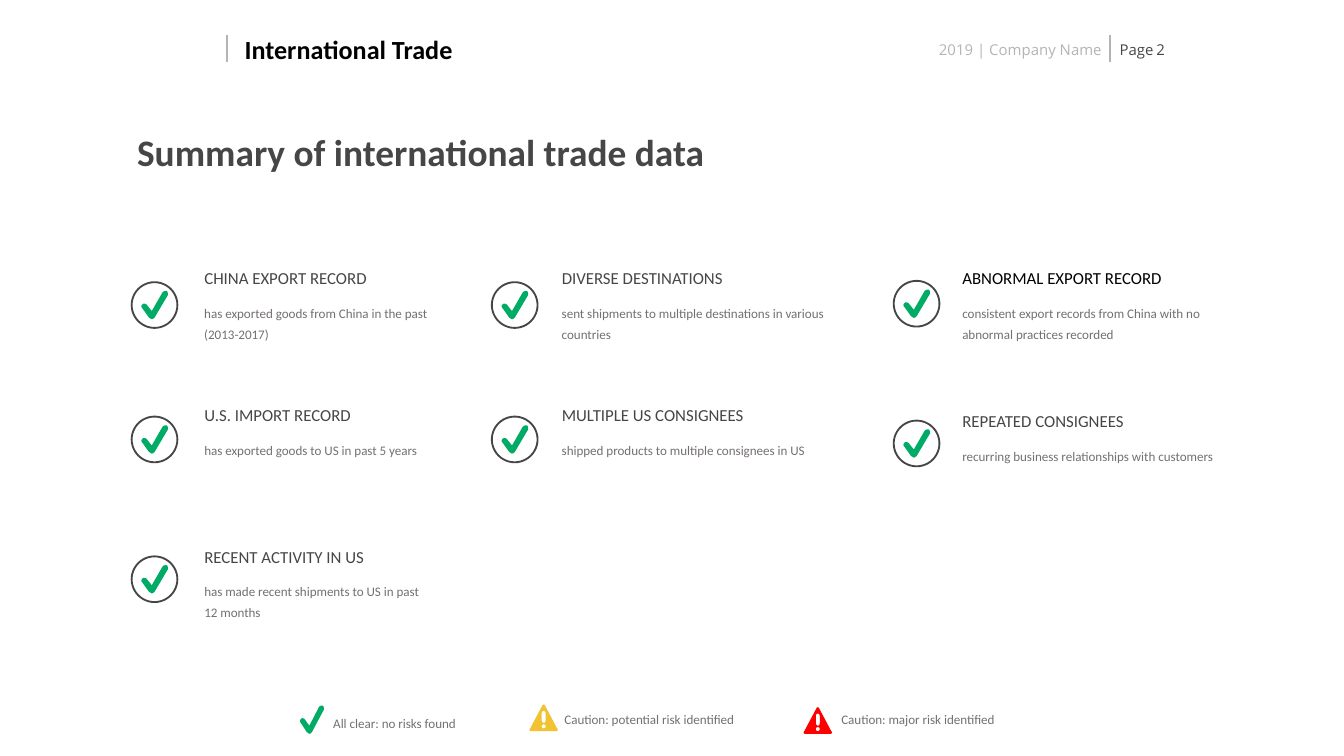
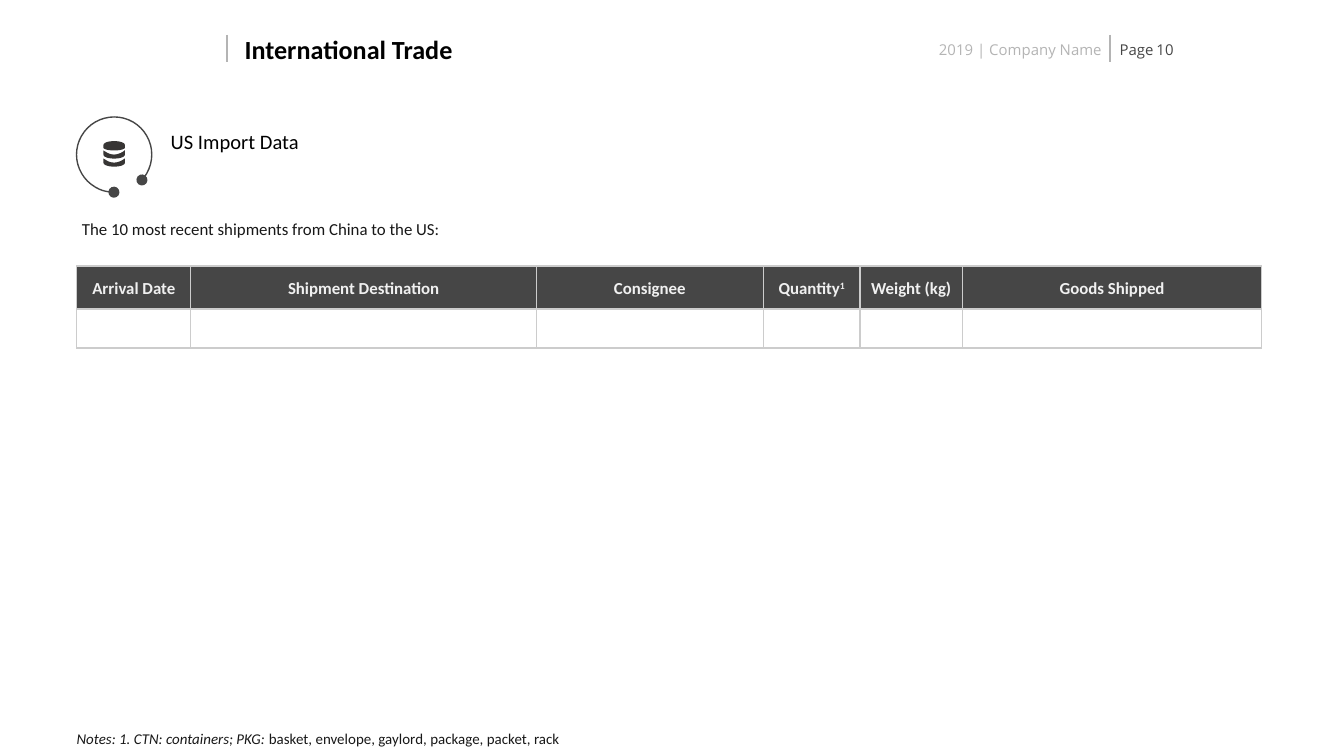
from dataclasses import dataclass

from lxml import etree
from pptx import Presentation, util as u
from pptx.dml.color import RGBColor
from pptx.enum import shapes, text
from pptx.oxml.ns import qn

# The grid has 100 square columns across the slide and 56.25 rows down it.
SLIDE_WIDTH, SLIDE_HEIGHT = u.Inches(10), u.Inches(5.625)
CELL = SLIDE_WIDTH / 100
CURVE_STEPS = 6
FINE = 100  # freeform units per hundredth of an inch

BODY_FONT, HEADER_FONT = "Calibri", "Open Sans"
BLACK, INK, DARK, GREY = "000000", "181818", "464646", "757070"
RULE, BORDER, PALE = "B4B4B4", "CCCCCC", "F0F0F0"
GREEN, AMBER, RED, ICON_DARK = "00AB66", "F1C232", "FF0000", "373534"
WIDE_INSET, NARROW_INSET = (0.07, 0.04), (0.04, 0.02)

# Outlines in hundredths of an inch: pairs are corners, sixes are Bezier curves.
CHECK = [[(8, 21), (7, 21, 7, 20, 6, 20), (1, 13), (0, 12, 0, 11, 1, 10),
          (2, 9, 3, 9.5, 4, 10), (8, 15), (16, 1), (17, 0, 18, 0, 19, 0),
          (20, 0.5, 20, 2, 20, 3), (10, 20), (9, 20.5, 9, 21, 8, 21)]]
WARNING = [
    [(21, 19), (21, 20, 20.5, 20, 20, 20), (1, 20), (0.5, 20, 0, 20, 0, 19),
     (0, 19, 0, 18.5, 0.5, 18), (9.5, 1), (10, 0, 11, 0, 11.5, 1),
     (20.5, 18), (21, 18.5, 21, 19, 21, 19)],
    [(12, 7), (12, 6, 11.5, 5, 10.5, 5), (9.5, 5, 9, 6, 9, 7), (9, 12),
     (9, 13, 10, 14, 10.5, 14), (11.5, 14, 12, 13, 12, 12)],
    [(10.5, 15), (8.5, 15, 8.5, 18, 10.5, 18), (12.5, 18, 12.5, 15, 10.5, 15)],
]
DISC = [(8, 0), (4, 0, 0, 1, 0, 3), (0, 5), (0, 6, 4, 7, 8, 7),
        (12, 7, 16, 6, 16, 5), (16, 3), (16, 1, 12, 0, 8, 0)]


def disc_band(top):
    return [(15.5, top), (15, top + 1, 11, top + 3, 8, top + 3),
            (4, top + 3, 2, top + 1, 0, top), (0, top + 3),
            (0, top + 5, 4, top + 6, 8, top + 6),
            (12, top + 6, 16, top + 5, 16, top + 3), (16, top)]


DATABASE = [DISC, disc_band(7), disc_band(13)]


@dataclass
class Box:
    """An area in grid cells."""
    left: float
    top: float
    width: float
    height: float

    def inner(self, left, top, width, height):
        return Box(self.left + left, self.top + top, width, height)

    def emu(self):
        return [cells(n) for n in (self.left, self.top, self.width, self.height)]


def cells(count):
    return u.Emu(round(count * CELL))


def colour(value):
    return RGBColor.from_string(value)


def style(span, size, ink, font=BODY_FONT, bold=False, italic=False):
    span.font.size = u.Pt(size)
    span.font.name = font
    span.font.bold = bold
    span.font.italic = italic
    span.font.color.rgb = colour(ink)


def fill_text(shape, words, size, ink, inset=WIDE_INSET, spacing=1.0,
              align=text.PP_ALIGN.LEFT, anchor=text.MSO_ANCHOR.TOP, **look):
    frame = shape.text_frame
    frame.word_wrap = True
    frame.auto_size = text.MSO_AUTO_SIZE.NONE
    frame.vertical_anchor = anchor
    frame.margin_left = frame.margin_right = u.Inches(inset[0])
    frame.margin_top = frame.margin_bottom = u.Inches(inset[1])
    frame.text = words
    para = frame.paragraphs[0]
    para.alignment = align
    para.line_spacing = spacing
    style(para.runs[0], size, ink, **look)
    return para


def add_text(page, box, words, size, ink, **options):
    return fill_text(page.shapes.add_textbox(*box.emu()), words, size, ink, **options)


def set_title(page, box, words, size, ink, **options):
    title = page.shapes.title
    title.left, title.top, title.width, title.height = box.emu()
    fill_text(title, words, size, ink, **options)


def add_rule(page, left, top, height):
    rule = page.shapes.add_connector(
        shapes.MSO_CONNECTOR.STRAIGHT,
        cells(left), cells(top), cells(left), cells(top + height))
    rule.line.color.rgb = colour(RULE)
    rule.line.width = u.Pt(0.75)
    etree.SubElement(rule._element.spPr, qn("a:effectLst"))


def flatten(contour):
    """Turn a contour's curves into short straight steps."""
    points = []
    for step in contour:
        if len(step) == 2:
            points.append(step)
            continue
        (x0, y0), (x1, y1, x2, y2, x3, y3) = points[-1], step
        for index in range(1, CURVE_STEPS + 1):
            t = index / CURVE_STEPS
            a, b, c, d = (1 - t) ** 3, 3 * t * (1 - t) ** 2, 3 * t * t * (1 - t), t ** 3
            points.append((a * x0 + b * x1 + c * x2 + d * x3,
                           a * y0 + b * y1 + c * y2 + d * y3))
    return [(x * FINE, y * FINE) for x, y in points]


def add_icon(page, contours, left, top, fill, stretch=1.0):
    unit = u.Inches(0.01) / FINE
    outlines = [flatten(contour) for contour in contours]
    builder = page.shapes.build_freeform(*outlines[0][0], scale=(unit * stretch, unit))
    for number, points in enumerate(outlines):
        if number:
            builder.move_to(*points[0])
        builder.add_line_segments(points[1:], close=True)
    icon = builder.convert_to_shape(cells(left), cells(top))
    icon.shadow.inherit = False
    icon.fill.solid()
    icon.fill.fore_color.rgb = colour(fill)
    icon.line.fill.background()


def add_outline(page, kind, box, width):
    shape = page.shapes.add_shape(kind, *box.emu())
    shape.shadow.inherit = False
    shape.fill.background()
    shape.line.color.rgb = colour(DARK)
    shape.line.width = u.Pt(width)
    return shape


def add_header(page, box, number):
    for left in (0, 65.7):
        add_rule(page, box.left + left, box.top, box.height)
    para = add_text(page, box.inner(65.7, 0, 6.1, 2), "Page", 8, DARK, font=HEADER_FONT)
    for words, size in ((" ", 6), (number, 8)):
        span = para.add_run()
        span.text = words
        style(span, size, DARK, font=HEADER_FONT)
    add_text(page, box.inner(12, 0.2, 53.5, 1.5), "2019 | Company Name", 8, RULE,
             inset=NARROW_INSET, align=text.PP_ALIGN.RIGHT, font=HEADER_FONT)
    add_text(page, box.inner(0.9, 0, 23, 2.1), "International Trade", 14, BLACK,
             inset=NARROW_INSET, anchor=text.MSO_ANCHOR.MIDDLE, bold=True)


def add_page(deck, number):
    page = deck.slides.add_slide(deck.slide_layouts[5])
    add_header(page, Box(16.9, 2.6, 71.8, 2), number)
    return page


def add_finding(page, box, text_left, icon_top, heading, detail, ink):
    """A circled check mark with a heading and a line of detail beside it."""
    add_outline(page, shapes.MSO_SHAPE.OVAL, box.inner(0, icon_top, 3.4, 3.4), 1)
    add_icon(page, CHECK, box.left + 0.7, box.top + icon_top + 0.65, GREEN)
    add_text(page, box.inner(text_left, 0, 21.9, 3.3), heading, 9, ink, spacing=1.3)
    add_text(page, box.inner(text_left, 2.9, box.width - text_left, 4.3),
             detail, 7, GREY, spacing=1.3)


def add_legend(page, box):
    add_icon(page, CHECK, box.left, box.top + 0.1, GREEN, stretch=0.9)
    add_icon(page, WARNING, box.left + 17.1, box.top, AMBER)
    add_icon(page, WARNING, box.left + 37.5, box.top + 0.2, RED)
    labels = ((1.8, 12.4, 1.3, "All clear: no risks found"),
              (19, 19.3, 1.0, "Caution: potential risk identified"),
              (39.6, 19.3, 1.0, "Caution: major risk identified"))
    for left, width, spacing, words in labels:
        add_text(page, box.inner(left, 0.1, width, 2.1), words, 7, GREY, spacing=spacing)


def build_summary(deck):
    page = add_page(deck, "2")
    set_title(page, Box(9.8, 9.4, 54.1, 6.7), "Summary of international trade data",
              20, DARK, inset=NARROW_INSET, bold=True)
    columns = ((9.8, 4.7), (36.6, 4.5), (66.5, 4.4))  # left edge, text offset
    # column, top, width, icon offset, heading, detail, heading colour
    findings = (
        (0, 19.1, 24.4, 1.9, "CHINA EXPORT RECORD",
         "has exported goods from China in the past (2013-2017)", DARK),
        (1, 19.1, 25.8, 1.9, "DIVERSE DESTINATIONS",
         "sent shipments to multiple destinations in various countries", DARK),
        (2, 19.1, 24.1, 1.8, "ABNORMAL EXPORT RECORD",
         "consistent export records from China with no abnormal practices recorded", BLACK),
        (0, 29.3, 22.9, 1.7, "U.S. IMPORT RECORD",
         "has exported goods to US in past 5 years", DARK),
        (1, 29.3, 27.2, 1.7, "MULTIPLE US CONSIGNEES",
         "shipped products to multiple consignees in US", DARK),
        (2, 29.7, 27.9, 1.6, "REPEATED CONSIGNEES",
         "recurring business relationships with customers", DARK),
        (0, 39.8, 22.9, 1.6, "RECENT ACTIVITY IN US",
         "has made recent shipments to US in past 12 months", DARK),
    )
    for column, top, width, icon_top, heading, detail, ink in findings:
        left, text_left = columns[column]
        add_finding(page, Box(left, top, width, 7.2), text_left, icon_top,
                    heading, detail, ink)
    add_legend(page, Box(22.3, 52.4, 58.9, 2.2))


def add_database_badge(page, box):
    arc = add_outline(page, shapes.MSO_SHAPE.ARC, box, 0.75)
    arc.rotation = 270
    for index, degrees in enumerate((180.35, 132.4)):
        arc.adjustments[index] = degrees * 0.6
    for end in ("a:headEnd", "a:tailEnd"):
        etree.SubElement(arc.line._get_or_add_ln(), qn(end), type="oval")
    add_icon(page, DATABASE, box.left + 2, box.top + 1.8, ICON_DARK)


def add_cell_borders(cell):
    properties = cell._tc.get_or_add_tcPr()
    for side in ("a:lnL", "a:lnR", "a:lnT", "a:lnB"):
        line = etree.SubElement(properties, qn(side), w=str(u.Pt(0.75)))
        fill = etree.SubElement(line, qn("a:solidFill"))
        etree.SubElement(fill, qn("a:srgbClr"), val=BORDER)


def add_shipment_table(page, box):
    headings = ("Arrival Date", "Shipment Destination", "Consignee",
                "Quantity", "Weight (kg)", "Goods Shipped")
    widths = (8.5, 25.7, 16.9, 7.2, 7.6, 22.3)
    table = page.shapes.add_table(2, len(headings), *box.emu()).table
    table.first_row = table.horz_banding = False
    for row, height in zip(table.rows, (3.2, 2.9)):
        row.height = cells(height)
    for index, (words, width) in enumerate(zip(headings, widths)):
        table.columns[index].width = cells(width)
        head, blank = table.cell(0, index), table.cell(1, index)
        for cell in (head, blank):
            add_cell_borders(cell)
            cell.vertical_anchor = text.MSO_ANCHOR.MIDDLE
            cell.margin_left = cell.margin_right = u.Inches(0.04)
            cell.margin_top = cell.margin_bottom = u.Inches(0.04)
        head.fill.solid()
        head.fill.fore_color.rgb = colour(DARK)
        blank.fill.background()
        etree.SubElement(blank.text_frame.paragraphs[0]._p, qn("a:endParaRPr"), sz="900")
        para = head.text_frame.paragraphs[0]
        para.text = words
        para.alignment = text.PP_ALIGN.CENTER
        para.line_spacing = 1.15
        if words == "Quantity":
            mark = para.add_run()
            mark.text = "1"
            mark.font._element.set("baseline", "30000")
        for span in para.runs:
            style(span, 9, PALE, bold=True)


def add_notes_line(page, box):
    para = add_text(page, box, "Notes: 1. CTN: containers; PKG: ", 8, INK,
                    inset=(0, 0.05), italic=True)
    span = para.add_run()
    span.text = "basket, envelope, gaylord, package, packet, rack"
    style(span, 8, INK)


def build_import_data(deck):
    page = add_page(deck, "10")
    add_database_badge(page, Box(5.7, 8.7, 5.6, 5.6))
    set_title(page, Box(12.7, 8.7, 25.8, 2.3), "US Import Data", 11, BLACK,
              inset=(0, 0), spacing=1.5)
    add_text(page, Box(5.7, 16.1, 80, 3),
             "The 10 most recent shipments from China to the US:", 9, INK,
             inset=NARROW_INSET)
    add_shipment_table(page, Box(5.7, 19.8, 88.2, 6.1))
    add_notes_line(page, Box(5.7, 53.8, 88.2, 2.4))


def main():
    deck = Presentation()
    deck.slide_width, deck.slide_height = SLIDE_WIDTH, SLIDE_HEIGHT
    build_summary(deck)
    build_import_data(deck)
    deck.save("out.pptx")


if __name__ == "__main__":
    main()
